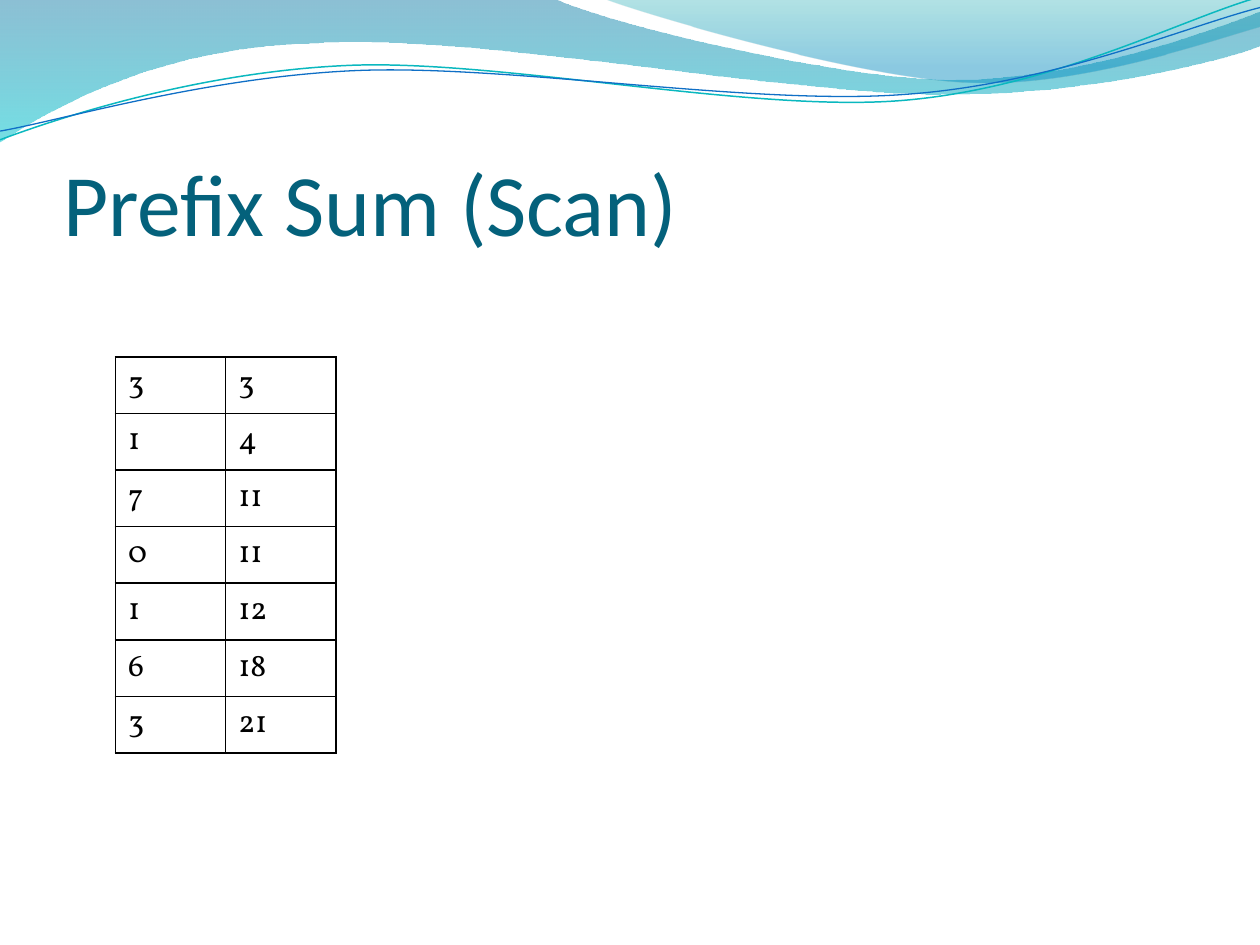
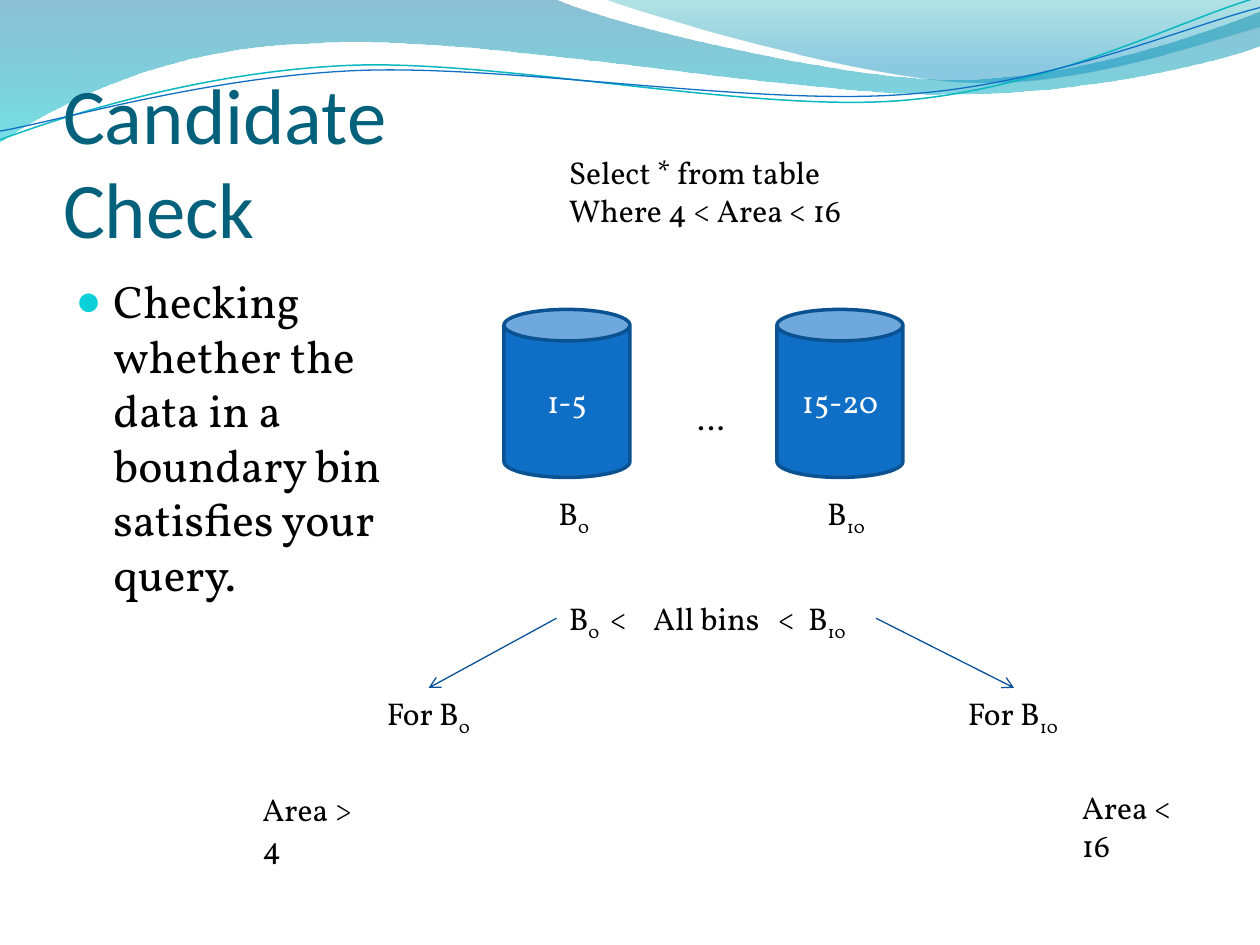
"""Build two slides on prefix sums and candidate checks under a shared wave band."""
from itertools import accumulate

from lxml import etree
from pptx import Presentation
from pptx.dml.color import RGBColor
from pptx.enum.shapes import MSO_CONNECTOR, MSO_SHAPE
from pptx.enum.text import MSO_ANCHOR, MSO_AUTO_SIZE, PP_ALIGN
from pptx.oxml.ns import qn
from pptx.util import Pt

CAN = MSO_SHAPE.CAN
STRAIGHT = MSO_CONNECTOR.STRAIGHT
BOTTOM, MIDDLE = MSO_ANCHOR.BOTTOM, MSO_ANCHOR.MIDDLE
LEFT, CENTER = PP_ALIGN.LEFT, PP_ALIGN.CENTER
NO_FIT, GROW = MSO_AUTO_SIZE.NONE, MSO_AUTO_SIZE.SHAPE_TO_FIT_TEXT

BLACK = RGBColor(0x00, 0x00, 0x00)
WHITE = RGBColor(0xFF, 0xFF, 0xFF)
TITLE_TEAL = RGBColor(0x04, 0x61, 0x7B)
BULLET_CYAN = RGBColor(0x0B, 0xD0, 0xD9)
CAN_BLUE = RGBColor(0x0F, 0x6F, 0xC6)
CAN_EDGE = RGBColor(0x0B, 0x52, 0x92)
ARROW_BLUE = RGBColor(0x09, 0x52, 0x95)
LINE_TEAL = RGBColor(0x0A, 0xB8, 0xBF)
BAND_BLUE = RGBColor(0x00, 0x74, 0xA1)
BAND_AQUA = RGBColor(0x00, 0xC6, 0xCF)
CREST_GREEN = RGBColor(0x00, 0xA1, 0xA9)
CREST_BLUE = RGBColor(0x00, 0x8B, 0xBF)

TITLE_FONT = "Calibri"
BODY_FONT = "Vollkorn"
TEXT_SIZE = 18
LINE_HEIGHT = 28.8
TOP_SIDE, LEFT_SIDE, RIGHT_SIDE = 0, 1, 3

# Each outline is a start point, then lines (one point) and curves (three points).
BAND_OUTLINE = [
    (0, 0), [(316.8, -0.7)],
    [(342.7, 12.2), (478.1, 45.4), (545.8, 45.4)],
    [(614.2, 45.4), (689.8, 18.7), (720, 6.5)],
    [(720.7, 25.9)],
    [(707.8, 31.7), (626.4, 54.7), (537.1, 54)],
    [(447.8, 54), (275, 20.2), (185, 24.5)],
    [(92.9, 25.9), (33.1, 59.8), (-0.7, 81.4)],
]
CREST_OUTLINE = [
    (344.9, -0.7),
    [(366.5, 7.9), (491, 44.6), (553.7, 46.8)],
    [(616.3, 49.7), (691.9, 23), (720, 15.1)],
    [(720, 0)],
]
TEAL_CURVE = [
    (0, 79.9),
    [(34.6, 67), (113.8, 41), (199.4, 37.4)],
    [(284.4, 33.8), (427, 64.1), (513.4, 57.6)],
    [(599.8, 51.1), (675.4, 10.8), (718.6, -1.4)],
]
BLUE_CURVE = [
    (0, 74.9),
    [(33.8, 69.1), (118.1, 43.9), (203.8, 40.3)],
    [(290.2, 36.7), (429.8, 60.5), (516.2, 54)],
    [(601.9, 48.2), (677.5, 15.1), (720, 4.3)],
]


def sub_element(parent, tag, **attributes):
    """Append a DrawingML element with the given attributes."""
    element = etree.SubElement(parent, qn(tag))
    for name, value in attributes.items():
        element.set(name, str(value))
    return element


def style_font(font, size, color, name=BODY_FONT):
    """Set the face, size and colour of a font."""
    font.name, font.size, font.color.rgb = name, Pt(size), color


def place(shape, left, top, width, height):
    """Move and size a shape in points."""
    shape.left, shape.top = Pt(left), Pt(top)
    shape.width, shape.height = Pt(width), Pt(height)


def bend_segments(shape, segments):
    """Turn the line segments that have control points into cubic curves."""
    lines = list(shape._element.iter(qn("a:lnTo")))
    for line, segment in zip(lines, segments):
        if len(segment) == 3:
            curve = etree.Element(qn("a:cubicBezTo"))
            for x, y in segment:
                sub_element(curve, "a:pt", x=Pt(x) - shape.left, y=Pt(y) - shape.top)
            line.getparent().replace(line, curve)


def add_outline(slide, outline, close):
    """Draw an outline of lines and curves as a freeform."""
    start, *segments = outline
    builder = slide.shapes.build_freeform(Pt(start[0]), Pt(start[1]))
    ends = [segment[-1] for segment in segments]
    builder.add_line_segments([(Pt(x), Pt(y)) for x, y in ends], close=close)
    shape = builder.convert_to_shape()
    bend_segments(shape, segments)
    shape.shadow.inherit = False
    return shape


def add_wave(slide, outline, stops):
    """Draw a filled wave with a downward, see-through gradient."""
    shape = add_outline(slide, outline, True)
    shape.line.fill.background()
    shape.fill.gradient()
    shape.fill.gradient_angle = 270
    for stop, (position, color, _) in zip(shape.fill.gradient_stops, stops):
        stop.position, stop.color.rgb = position, color
    for element, (_, _, opacity) in zip(shape._element.spPr.iter(qn("a:srgbClr")), stops):
        sub_element(element, "a:alpha", val=opacity * 1000)
    return shape


def add_curve(slide, outline, color, width):
    """Draw an open curved line."""
    shape = add_outline(slide, outline, False)
    shape.fill.background()
    shape.line.color.rgb, shape.line.width = color, Pt(width)
    return shape


def add_master_waves(presentation, slide):
    """Draw the wave band and move it behind the master's placeholders."""
    waves = [
        add_wave(slide, BAND_OUTLINE, [(0, BAND_BLUE, 45), (1, BAND_AQUA, 55)]),
        add_wave(slide, CREST_OUTLINE, [(0, CREST_GREEN, 30), (0.8, CREST_BLUE, 45)]),
        add_curve(slide, TEAL_CURVE, LINE_TEAL, 0.85),
        add_curve(slide, BLUE_CURVE, CAN_BLUE, 0.75),
    ]
    tree = presentation.slide_master.shapes._spTree
    for index, wave in enumerate(waves):
        wave._element.nvSpPr.cNvPr.set("id", str(100 + index))
        tree.insert(2 + index, wave._element)


def set_title(slide, text, size):
    """Fill and format the title placeholder."""
    title = slide.shapes.title
    place(title, 36, 55.4, 648, 90)
    frame = title.text_frame
    frame.text = text
    frame.auto_size, frame.vertical_anchor = NO_FIT, BOTTOM
    frame.margin_left = frame.margin_right = frame.margin_bottom = 0
    paragraph = frame.paragraphs[0]
    paragraph.alignment = LEFT
    style_font(paragraph.font, size, TITLE_TEAL, TITLE_FONT)


def set_bullet(slide, text):
    """Fill the body placeholder with one bulleted paragraph."""
    body = slide.placeholders[1]
    place(body, 36, 152.4, 257.8, 345.6)
    body.text_frame.text = text
    body.text_frame.auto_size = NO_FIT
    paragraph = body.text_frame.paragraphs[0]
    properties = paragraph._p.get_or_add_pPr()
    properties.set("marL", str(Pt(21.6)))
    properties.set("indent", str(Pt(-21.6)))
    sub_element(sub_element(properties, "a:buClr"), "a:srgbClr", val=BULLET_CYAN)
    sub_element(properties, "a:buSzPct", val=95000)
    sub_element(properties, "a:buChar", char="●")
    style_font(paragraph.font, 26, BLACK)


def add_number_table(slide, rows):
    """Add a plain ruled table of numbers."""
    column_width, row_height = 63, 32.33
    frame = slide.shapes.add_table(len(rows), len(rows[0]), Pt(66), Pt(204),
                                   Pt(column_width * len(rows[0])),
                                   Pt(row_height * len(rows)))
    table = frame.table
    table.first_row = table.horz_banding = False
    for row_index, row in enumerate(rows):
        for column_index, value in enumerate(row):
            cell = table.cell(row_index, column_index)
            cell.text = str(value)
            cell.fill.background()
            style_font(cell.text_frame.paragraphs[0].font, TEXT_SIZE, BLACK)
            rule_cell(cell)


def rule_cell(cell):
    """Give a cell thin black borders on all sides."""
    properties = cell._tc.get_or_add_tcPr()
    for index, side in enumerate(("a:lnL", "a:lnR", "a:lnT", "a:lnB")):
        border = sub_element(properties, side, w=Pt(1))
        sub_element(sub_element(border, "a:solidFill"), "a:srgbClr", val=BLACK)
        properties.insert(index, border)


def add_label(slide, left, top, width, *lines, wrap=False, tabs=()):
    """Add a label; each line alternates normal and subscript pieces."""
    box = slide.shapes.add_textbox(Pt(left), Pt(top), Pt(width),
                                   Pt(LINE_HEIGHT + 22.3 * (len(lines) - 1)))
    frame = box.text_frame
    frame.word_wrap = wrap
    frame.auto_size = GROW
    for index, pieces in enumerate(lines):
        paragraph = frame.add_paragraph() if index else frame.paragraphs[0]
        if tabs:
            tab_list = sub_element(paragraph._p.get_or_add_pPr(), "a:tabLst")
            for position in tabs:
                sub_element(tab_list, "a:tab", pos=Pt(position), algn="l")
        style_font(paragraph.font, TEXT_SIZE, BLACK)
        for piece_index, piece in enumerate(pieces):
            run = paragraph.add_run()
            run.text = piece
            if piece_index % 2:
                run._r.get_or_add_rPr().set("baseline", "-25000")
    return box


def add_bin(slide, left, text):
    """Add a cylinder that stands for a bin."""
    shape = slide.shapes.add_shape(CAN, Pt(left), Pt(176.8), Pt(72), Pt(96))
    shape.shadow.inherit = False
    shape.fill.solid()
    shape.fill.fore_color.rgb = CAN_BLUE
    shape.line.color.rgb, shape.line.width = CAN_EDGE, Pt(2)
    frame = shape.text_frame
    frame.text, frame.vertical_anchor = text, MIDDLE
    frame.paragraphs[0].alignment = CENTER
    style_font(frame.paragraphs[0].font, TEXT_SIZE, WHITE)


def add_arrow(slide, source, side, target):
    """Join a side of one label to the top of another with an arrow."""
    connector = slide.shapes.add_connector(STRAIGHT, 0, 0, 0, 0)
    connector.begin_connect(source, side)
    connector.end_connect(target, TOP_SIDE)
    connector.line.color.rgb, connector.line.width = ARROW_BLUE, Pt(0.75)
    sub_element(connector.line._get_or_add_ln(), "a:tailEnd", type="arrow")
    sub_element(connector._element.spPr, "a:effectLst")


def build_prefix_sum(slide):
    """Show numbers beside their running totals."""
    set_title(slide, "Prefix Sum (Scan)", 50)
    numbers = [3, 1, 7, 0, 1, 6, 3]
    add_number_table(slide, list(zip(numbers, accumulate(numbers))))


def build_candidate_check(slide):
    """Show the query, its bins and the checks on boundary bins."""
    set_title(slide, "Candidate \vCheck", 45)
    set_bullet(slide, "Checking \vwhether the \vdata in a \v"
                      "boundary bin satisfies your \vquery.")
    add_bin(slide, 288, "1-5")
    add_bin(slide, 444, "15-20")
    add_label(slide, 391.5, 224.6, 28.8, ["…"])
    add_label(slide, 318, 84, 170.6, ["Select * from table"], ["Where 4 < Area < 16"])
    bins = add_label(slide, 318, 338.9, 182.6,
                     ["B", "0", "\t<\tAll bins\t<\tB", "10"],
                     tabs=(23.5, 48.2, 119.5, 136.7))
    add_label(slide, 312, 278.6, 35.3, ["B", "0"])
    add_label(slide, 465.6, 278.6, 36.7, ["B", "10"])
    first_check = add_label(slide, 214, 393.1, 61.9, ["For B", "0"])
    last_check = add_label(slide, 546, 393.1, 67, ["For B", "10"])
    add_label(slide, 142.8, 447.8, 68, ["Area > 4"], wrap=True)
    add_label(slide, 611.1, 446.9, 68, ["Area < 16"], wrap=True)
    add_arrow(slide, bins, LEFT_SIDE, first_check)
    add_arrow(slide, bins, RIGHT_SIDE, last_check)


def main():
    """Build and save the presentation."""
    presentation = Presentation()
    presentation.slide_width, presentation.slide_height = Pt(720), Pt(540)
    prefix_slide = presentation.slides.add_slide(presentation.slide_layouts[5])
    check_slide = presentation.slides.add_slide(presentation.slide_layouts[1])
    add_master_waves(presentation, prefix_slide)
    build_prefix_sum(prefix_slide)
    build_candidate_check(check_slide)
    presentation.save("out.pptx")


if __name__ == "__main__":
    main()
